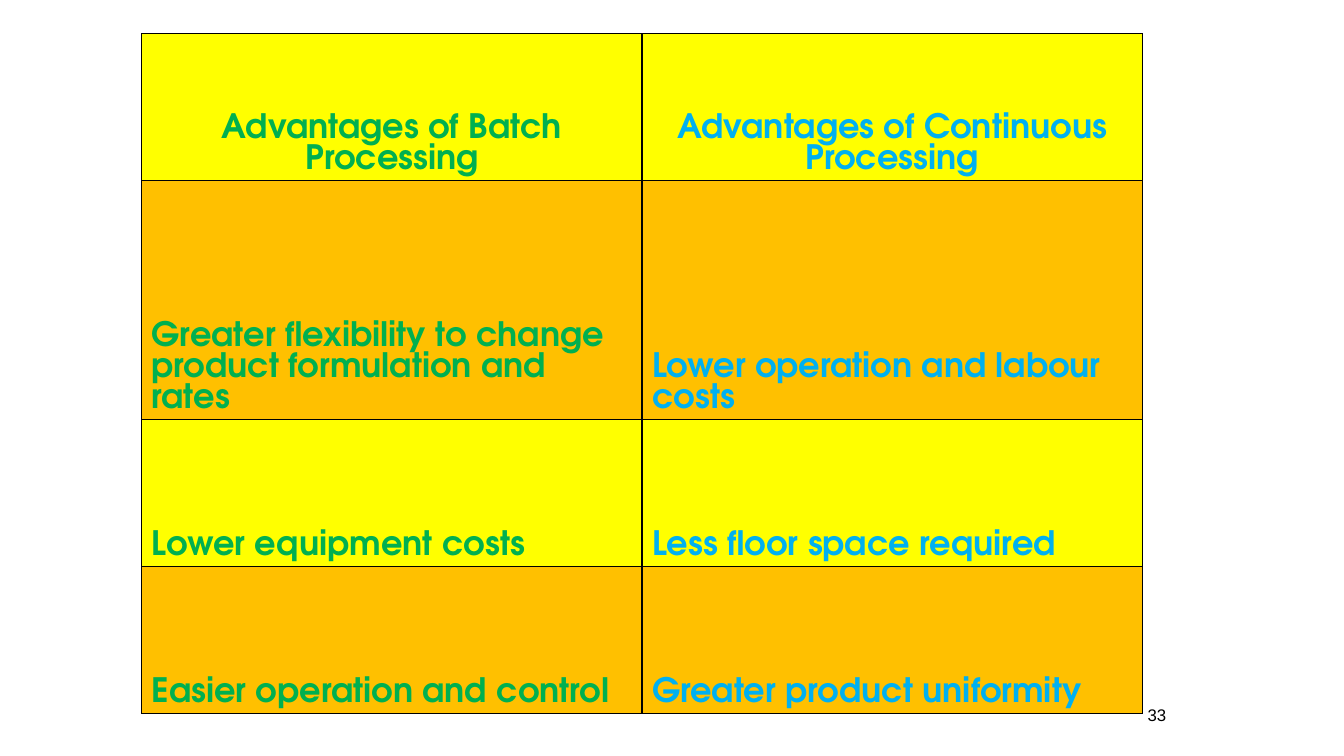
from pptx import Presentation
from pptx.dml.color import RGBColor
from pptx.enum.text import MSO_ANCHOR as Anchor, PP_ALIGN as Align
from pptx.oxml import parse_xml
from pptx.oxml.ns import nsdecls
from pptx.util import Cm, Pt

ADVANTAGES = [
    ("Advantages of Batch Processing", "Advantages of Continuous Processing"),
    ("Greater flexibility to change product formulation and rates",
     "Lower operation and labour costs"),
    ("Lower equipment costs", "Less floor space required"),
    ("Easier operation and control", "Greater product uniformity"),
]
PROCESS_COLOURS = ("00B050", "00B0F0")
BAND_FILLS = ("FFFF00", "FFC000")
ROW_HEIGHTS = (3.7, 6.03, 3.7, 3.7)
COLUMN_WIDTH = 12.61


def colour(hex_value):
    return RGBColor.from_string(hex_value)


class SlideBuilder:
    table_font = {"name": "TeX Gyre Adventor", "size": Pt(24), "bold": True}
    number_font = {"name": "Arial", "size": Pt(12)}
    border_colour = "000000"

    def __init__(self, slide):
        self.slide = slide

    def add_words(self, frame, words, font_values, hex_value, align):
        paragraph = frame.paragraphs[0]
        paragraph.alignment = align
        run = paragraph.add_run()
        run.text = words
        for name, value in font_values.items():
            setattr(run.font, name, value)
        run.font.color.rgb = colour(hex_value)

    def border(self, cell):
        properties = cell._tc.get_or_add_tcPr()
        for position, side in enumerate(("lnL", "lnR", "lnT", "lnB")):
            properties.insert(position, parse_xml(
                f'<a:{side} {nsdecls("a")} w="12700"><a:solidFill>'
                f'<a:srgbClr val="{self.border_colour}"/></a:solidFill></a:{side}>'))

    def table(self, left, top, rows):
        table = self.slide.shapes.add_table(
            len(rows), len(PROCESS_COLOURS), Cm(left), Cm(top),
            Cm(COLUMN_WIDTH * len(PROCESS_COLOURS)), Cm(sum(ROW_HEIGHTS))).table
        table.horz_banding = False
        for column in table.columns:
            column.width = Cm(COLUMN_WIDTH)
        for index, advantages in enumerate(rows):
            table.rows[index].height = Cm(ROW_HEIGHTS[index])
            align = Align.LEFT if index else Align.CENTER
            for process, advantage in enumerate(advantages):
                cell = table.cell(index, process)
                cell.fill.solid()
                cell.fill.fore_color.rgb = colour(BAND_FILLS[index % 2])
                cell.vertical_anchor = Anchor.BOTTOM
                self.add_words(cell.text_frame, advantage, self.table_font,
                               PROCESS_COLOURS[process], align)
                self.border(cell)

    def page_number(self, left, top, width, height, number):
        frame = self.slide.shapes.add_textbox(
            Cm(left), Cm(top), Cm(width), Cm(height)).text_frame
        frame.word_wrap = True
        frame.vertical_anchor = Anchor.MIDDLE
        self.add_words(frame, number, self.number_font, "000000", Align.RIGHT)


def main():
    presentation = Presentation()
    presentation.slide_width = Cm(33.87)
    presentation.slide_height = Cm(19.05)
    builder = SlideBuilder(
        presentation.slides.add_slide(presentation.slide_layouts[6]))
    builder.page_number(23.71, 17.36, 5.93, 1.32, "33")
    builder.table(3.57, 0.85, ADVANTAGES)
    presentation.save("out.pptx")


if __name__ == "__main__":
    main()
